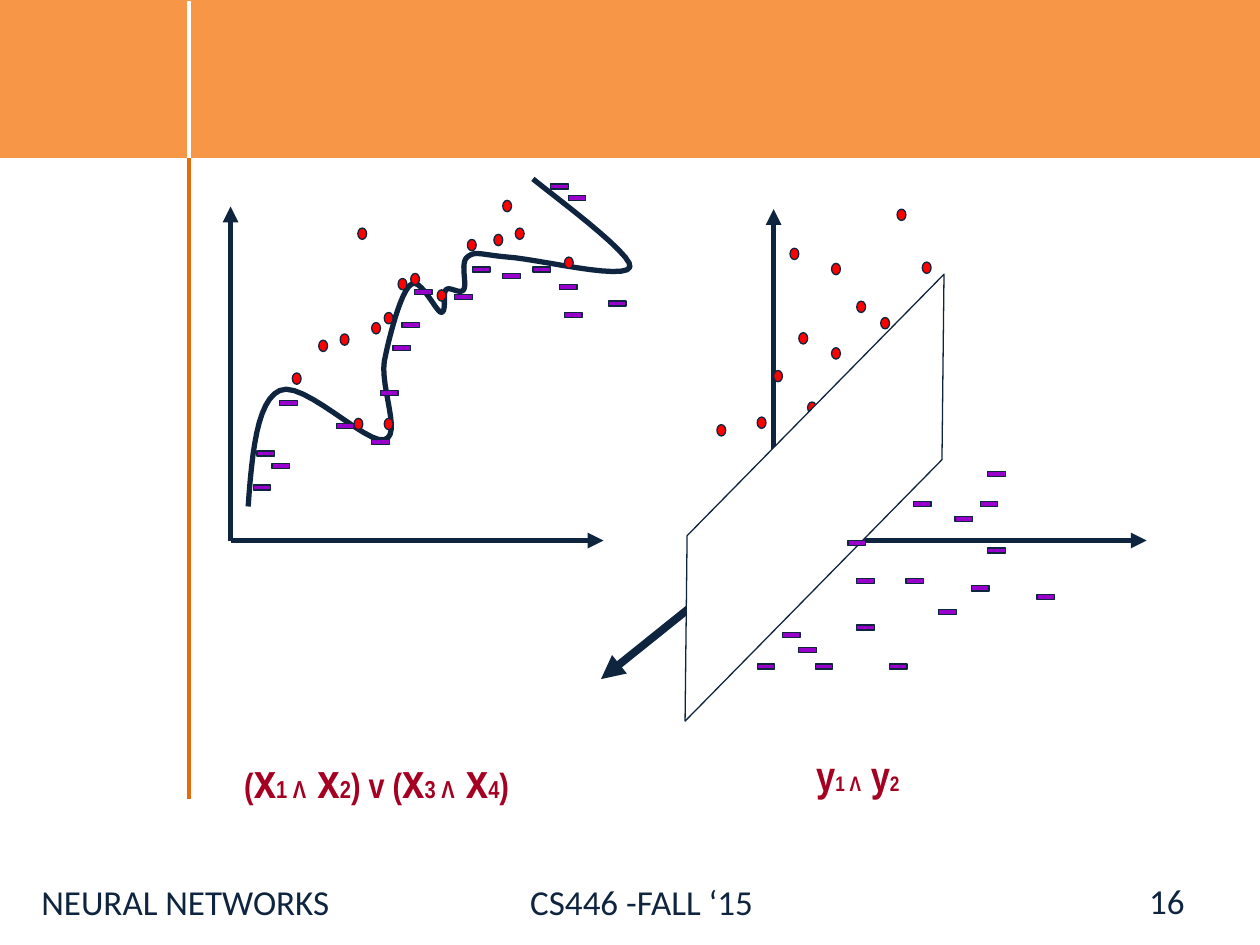
from lxml import etree
from pptx import Presentation, util as u
from pptx.dml.color import RGBColor
from pptx.enum import shapes as s, text as t
from pptx.oxml import ns

Inches = u.Inches
ORANGE = RGBColor(0xF7, 0x96, 0x46)
DARK_ORANGE = RGBColor(0xE4, 0x6C, 0x0A)
NAVY = RGBColor(0x0F, 0x24, 0x3E)
WHITE = RGBColor(0xFF, 0xFF, 0xFF)
RED = RGBColor(0xFF, 0x00, 0x00)
PURPLE = RGBColor(0x99, 0x00, 0xCC)
CRIMSON = RGBColor(0xA5, 0x00, 0x21)

DIVIDERS = [
    ((1.5, 1.25), (1.5, 6.34), DARK_ORANGE),
    ((1.5, 0.01), (1.5, 1.25), WHITE),
]
AXES = [
    ((1.83, 4.29), (1.83, 1.64), 3),
    ((1.83, 4.29), (4.79, 4.29), 3),
    ((6.14, 4.31), (6.14, 1.66), 3),
    ((6.14, 4.29), (9.1, 4.29), 3),
    ((6.14, 4.29), (4.77, 5.39), 4.5),
]
BOUNDARY = [
    (1.97, 4.02),
    (2, 3.6), (2.04, 3.18), (2.22, 3.1),
    (2.4, 3.01), (2.91, 3.53), (3.05, 3.49),
    (3.19, 3.46), (3.02, 3.08), (3.05, 2.87),
    (3.09, 2.67), (3.18, 2.32), (3.26, 2.26),
    (3.33, 2.19), (3.46, 2.47), (3.5, 2.48),
    (3.55, 2.48), (3.51, 2.33), (3.54, 2.3),
    (3.57, 2.27), (3.65, 2.34), (3.68, 2.3),
    (3.71, 2.26), (3.65, 2.08), (3.71, 2.04),
    (3.77, 1.99), (3.81, 2.02), (4.02, 2.04),
    (4.24, 2.05), (4.96, 2.23), (5, 2.12),
    (5.03, 2.02), (4.36, 1.53), (4.23, 1.42),
]
LEFT_POSITIVES = [
    (2.81, 3.32), (3.05, 2.48), (2.84, 1.81), (2.95, 2.56), (3.16, 2.21), (3.05, 3.32),
    (3.47, 2.3), (3.26, 2.17), (2.7, 2.65), (2.53, 2.7), (2.32, 2.96), (3.99, 1.59),
    (4.48, 2.04), (3.92, 1.86), (3.71, 1.9), (4.09, 1.81),
]
LEFT_NEGATIVES = [
    (3.19, 2.56), (2.04, 3.58), (4.23, 2.12), (3.02, 3.1), (3.75, 2.12), (3.29, 2.3),
    (2.67, 3.36), (3.99, 2.17), (4.51, 1.55), (3.61, 2.34), (4.37, 1.46), (3.12, 2.74),
    (2.22, 3.18), (4.48, 2.48), (4.44, 2.26), (2.95, 3.49), (4.83, 2.39), (2.01, 3.85),
    (2.16, 3.68),
]
RIGHT_POSITIVES = [
    (6.27, 1.97), (7.12, 1.66), (6.6, 2.09), (7.32, 2.08), (6.8, 2.39), (6.34, 2.64),
    (6.99, 2.52), (5.69, 3.37), (6.6, 2.76), (6.14, 2.94), (6.01, 3.31), (6.41, 3.19),
]
RIGHT_NEGATIVES = [
    (7.58, 4.1), (7.78, 3.98), (7.84, 4.35), (6.73, 4.29), (7.25, 3.98), (8.23, 4.72),
    (7.19, 4.59), (7.84, 3.74), (7.45, 4.84), (6.8, 4.96), (7.71, 4.65), (6.8, 4.59),
    (7.06, 5.27), (6.01, 5.27), (6.21, 5.02), (6.34, 5.14), (6.47, 5.27),
]
POSITIVE = (s.MSO_SHAPE.OVAL, (0.07, 0.09), RED)
NEGATIVE = (s.MSO_SHAPE.RECTANGLE, (0.14, 0.04), PURPLE)
PLANE = (4.48, 3.44, 3.97, 1.02)

FOOTER_FONT = {"name": "Calibri", "color": NAVY}
FORMULA_FONT = {"name": "Arial Narrow", "bold": True, "color": CRIMSON}
FORMULAS = [
    ((1.84, 5.9, 2.36, 0.57), [
        ("(", 20), ("x", 28), ("1 Λ", 14), (" x", 28), ("2", 14), (") v (", 20),
        ("x", 28), ("3 Λ", 14), (" x", 28), ("4", 14), (")", 20)]),
    ((6.38, 5.9, 0.96, 0.5), [("y", 24), ("1 Λ", 12), (" y", 24), ("2", 12)]),
]


def add_figure(slide, kind, box, fill, line=NAVY):
    shape = slide.shapes.add_shape(kind, *map(Inches, box))
    shape.shadow.inherit = False
    shape.fill.solid()
    shape.fill.fore_color.rgb = fill
    shape.line.color.rgb = line
    shape.line.width = u.Pt(0.75)
    return shape


def add_line(slide, start, end, color, width, arrow=False):
    connector = slide.shapes.add_connector(
        s.MSO_CONNECTOR.STRAIGHT, *map(Inches, start + end))
    connector.line.color.rgb = color
    connector.line.width = u.Pt(width)
    properties = connector.element.spPr
    if arrow:
        tail = etree.SubElement(connector.line._get_or_add_ln(), ns.qn("a:tailEnd"))
        tail.set("type", "triangle")
    etree.SubElement(properties, ns.qn("a:effectLst"))


def add_marks(slide, positions, mark):
    kind, size, color = mark
    for position in positions:
        add_figure(slide, kind, position + size, color)


def curve_points(points, steps=12):
    for first in range(0, len(points) - 1, 3):
        corners = points[first:first + 4]
        for step in range(1, steps + 1):
            part = step / steps
            rest = 1 - part
            weights = (rest ** 3, 3 * rest ** 2 * part, 3 * rest * part ** 2, part ** 3)
            yield tuple(
                Inches(sum(weight * corner[axis] for weight, corner in zip(weights, corners)))
                for axis in (0, 1))


def add_boundary(slide):
    builder = slide.shapes.build_freeform(*map(Inches, BOUNDARY[0]))
    builder.add_line_segments(curve_points(BOUNDARY), close=False)
    shape = builder.convert_to_shape()
    shape.shadow.inherit = False
    shape.fill.background()
    shape.line.color.rgb = NAVY
    shape.line.width = u.Pt(3)


def add_text(slide, box, runs, style, tab=None, **paragraph_format):
    frame = slide.shapes.add_textbox(*map(Inches, box)).text_frame
    frame.word_wrap = True
    paragraph = frame.paragraphs[0]
    for name, value in paragraph_format.items():
        setattr(paragraph, name, value)
    if tab:
        tabs = etree.SubElement(paragraph._p.get_or_add_pPr(), ns.qn("a:tabLst"))
        etree.SubElement(tabs, ns.qn("a:tab"), pos=str(Inches(tab)), algn="l")
    for words, size in runs:
        run = paragraph.add_run()
        run.text = words
        run.font.size = u.Pt(size)
        for name, value in style.items():
            if name == "color":
                run.font.color.rgb = value
            else:
                setattr(run.font, name, value)
    return frame


def main():
    presentation = Presentation()
    presentation.slide_width = Inches(10)
    presentation.slide_height = Inches(7.5)
    slide = presentation.slides.add_slide(presentation.slide_layouts[6])

    add_figure(slide, s.MSO_SHAPE.RECTANGLE, (0, 0, 10, 1.25), ORANGE, ORANGE)
    add_text(slide, (0.23, 6.94, 6.9, 0.56),
             [("NEURAL NETWORKS\tCS446 -FALL ‘15", 20)], FOOTER_FONT, tab=3.88)
    number = add_text(slide, (7.17, 6.95, 2.33, 0.4), [("16", 20)], FOOTER_FONT,
                      alignment=t.PP_ALIGN.RIGHT)
    number.vertical_anchor = t.MSO_ANCHOR.MIDDLE
    for start, end, color in DIVIDERS:
        add_line(slide, start, end, color, 2.5)
    for start, end, width in AXES:
        add_line(slide, start, end, NAVY, width, arrow=True)

    add_boundary(slide)
    add_marks(slide, LEFT_POSITIVES, POSITIVE)
    add_marks(slide, LEFT_NEGATIVES, NEGATIVE)

    add_marks(slide, RIGHT_POSITIVES, POSITIVE)
    plane = add_figure(slide, s.MSO_SHAPE.PARALLELOGRAM, PLANE, WHITE)
    plane.adjustments[0] = 1.04
    plane.rotation = 314.5
    add_marks(slide, RIGHT_NEGATIVES, NEGATIVE)

    for box, runs in FORMULAS:
        frame = add_text(slide, box, runs, FORMULA_FONT)
        frame.auto_size = t.MSO_AUTO_SIZE.SHAPE_TO_FIT_TEXT
    presentation.save("out.pptx")


if __name__ == "__main__":
    main()
